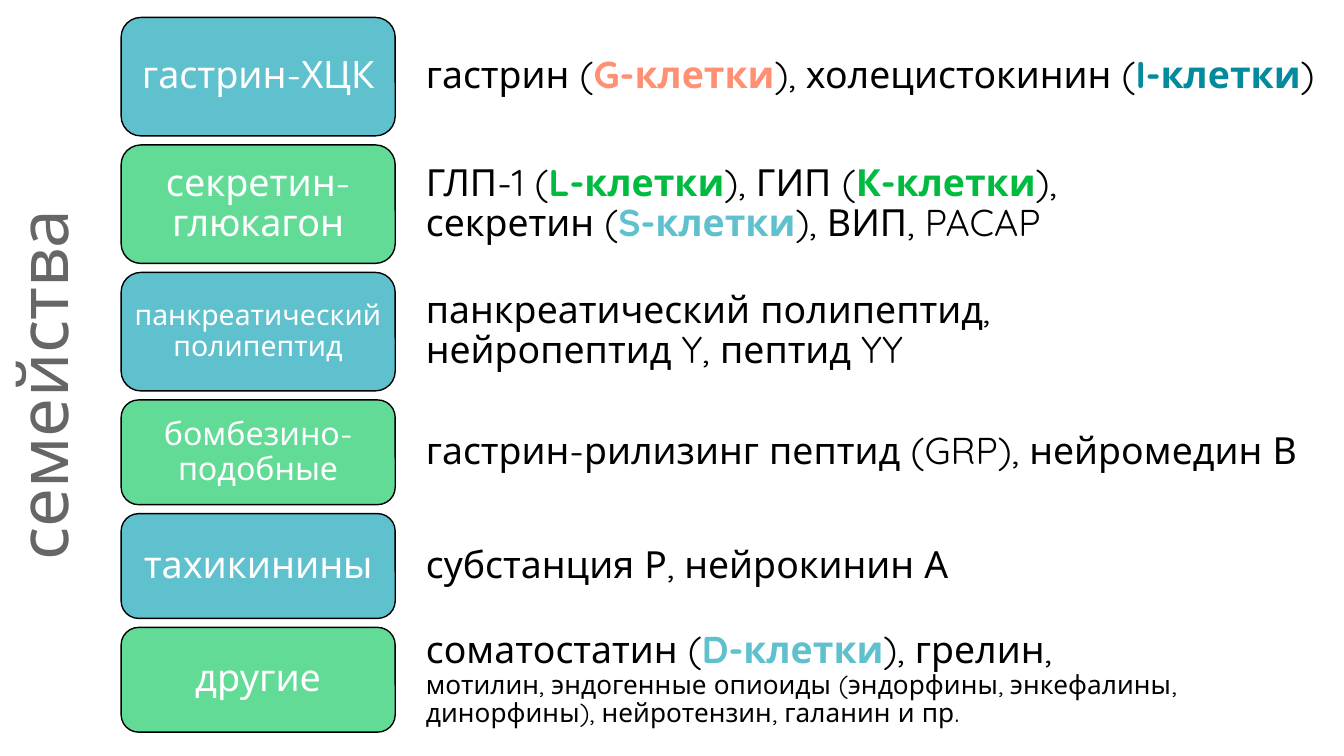
from pptx import Presentation
from pptx.dml.color import RGBColor
from pptx.enum.shapes import MSO_SHAPE
from pptx.enum.text import MSO_ANCHOR, MSO_AUTO_SIZE, PP_ALIGN
from pptx.util import Cm, Pt

ROUNDED = MSO_SHAPE.ROUNDED_RECTANGLE
MIDDLE = MSO_ANCHOR.MIDDLE
NO_FIT = MSO_AUTO_SIZE.NONE
CENTER, LEFT = PP_ALIGN.CENTER, PP_ALIGN.LEFT

BLACK = RGBColor(0x00, 0x00, 0x00)
WHITE = RGBColor(0xFF, 0xFF, 0xFF)
GRAY = RGBColor(0x66, 0x66, 0x66)
BLUE = RGBColor(0x5F, 0xC0, 0xCE)
MINT = RGBColor(0x62, 0xDB, 0x97)
CORAL = RGBColor(0xFF, 0x90, 0x73)
TEAL = RGBColor(0x03, 0x8A, 0x9D)
GREEN = RGBColor(0x00, 0xBB, 0x3F)

LABEL_LEFT, LABEL_WIDTH = 2.29, 5.18
DETAIL_LEFT, DETAIL_WIDTH = 7.8, 17.6
FIRST_TOP, GAP = 0.33, 0.17
TALL, SHORT = 2.24, 1.98

# Each row: height, label lines, label size, detail lines as (size, spans).
# A span is (text, colour); coloured spans are cell names and are bold.
FAMILIES = [
    (TALL, ["гастрин-ХЦК"], 20.2, [
        (20, [("гастрин (", BLACK), ("G-клетки", CORAL),
              ("), холецистокинин (", BLACK), ("I-клетки", TEAL),
              (")", BLACK)])]),
    (TALL, ["секретин-", "глюкагон"], 20.2, [
        (20, [("ГЛП-1 (", BLACK), ("L-клетки", GREEN), ("), ГИП (", BLACK),
              ("К-клетки", GREEN), ("),", BLACK)]),
        (20, [("секретин (", BLACK), ("S-клетки", BLUE),
              ("), ВИП, PACAP", BLACK)])]),
    (TALL, ["панкреатический полипептид"], 15.2, [
        (20, [("панкреатический полипептид,", BLACK)]),
        (20, [("нейропептид Y, пептид YY", BLACK)])]),
    (SHORT, ["бомбезино-", "подобные"], 17.2, [
        (20, [("гастрин-рилизинг пептид (GRP), нейромедин В", BLACK)])]),
    (SHORT, ["тахикинины"], 20.2, [
        (20, [("субстанция Р, нейрокинин А", BLACK)])]),
    (SHORT, ["другие"], 20.2, [
        (20, [("соматостатин (", BLACK), ("D-клетки", BLUE),
              ("), грелин,", BLACK)]),
        (14, [("мотилин, эндогенные опиоиды (эндорфины, энкефалины, "
               "динорфины), нейротензин, галанин и пр.", BLACK)])]),
]


def apply(target, values):
    for name, value in values.items():
        setattr(target, name, value)


class FamilySlide:
    """Holds the text style and the slide being drawn."""

    line_spacing = 0.9
    body_font = "Quicksand"
    title_font = "League Spartan"

    def __init__(self, deck):
        self.page = deck.slides.add_slide(deck.slide_layouts[5])

    def fill_text(self, box, lines, align, font_name, inset):
        """Fill a box with lines of (size, spans)."""
        frame = box.text_frame
        apply(frame, {"word_wrap": True, "auto_size": NO_FIT,
                      "vertical_anchor": MIDDLE,
                      "margin_left": Cm(inset), "margin_right": Cm(inset),
                      "margin_top": Cm(inset), "margin_bottom": Cm(inset)})
        for index, (size, spans) in enumerate(lines):
            para = frame.add_paragraph() if index else frame.paragraphs[0]
            apply(para, {"alignment": align, "space_before": Pt(0),
                         "line_spacing": self.line_spacing})
            for text, color in spans:
                span = para.add_run()
                span.text = text
                apply(span.font, {"name": font_name, "size": Pt(size),
                                  "bold": color in (CORAL, TEAL, GREEN, BLUE)})
                span.font.color.rgb = color

    def title(self, text):
        box = self.page.shapes.title
        apply(box, {"left": Cm(-6.22), "top": Cm(6.6), "width": Cm(14.2),
                    "height": Cm(1.35), "rotation": 270})
        self.fill_text(box, [(37, [(text, GRAY)])], CENTER,
                       self.title_font, 0.25)

    def label(self, top, height, lines, size, fill):
        box = self.page.shapes.add_shape(
            ROUNDED, Cm(LABEL_LEFT), Cm(top), Cm(LABEL_WIDTH), Cm(height))
        box.shadow.inherit = False
        box.fill.solid()
        box.fill.fore_color.rgb = fill
        box.line.color.rgb = BLACK
        box.line.width = Pt(0.75)
        self.fill_text(box, [(size, [(line, WHITE)]) for line in lines],
                       CENTER, self.body_font, 0)

    def detail(self, top, height, lines):
        box = self.page.shapes.add_textbox(
            Cm(DETAIL_LEFT), Cm(top), Cm(DETAIL_WIDTH), Cm(height))
        self.fill_text(box, lines, LEFT, self.body_font, 0.25)


def main():
    deck = Presentation()
    deck.slide_width, deck.slide_height = Cm(25.4), Cm(14.29)
    slide = FamilySlide(deck)
    slide.title("семейства")
    top = FIRST_TOP
    for index, (height, label, size, details) in enumerate(FAMILIES):
        slide.label(top, height, label, size, MINT if index % 2 else BLUE)
        # Details keep the tall height, centred on their label.
        slide.detail(top + (height - TALL) / 2, TALL, details)
        top += height + GAP
    deck.save("out.pptx")


if __name__ == "__main__":
    main()
